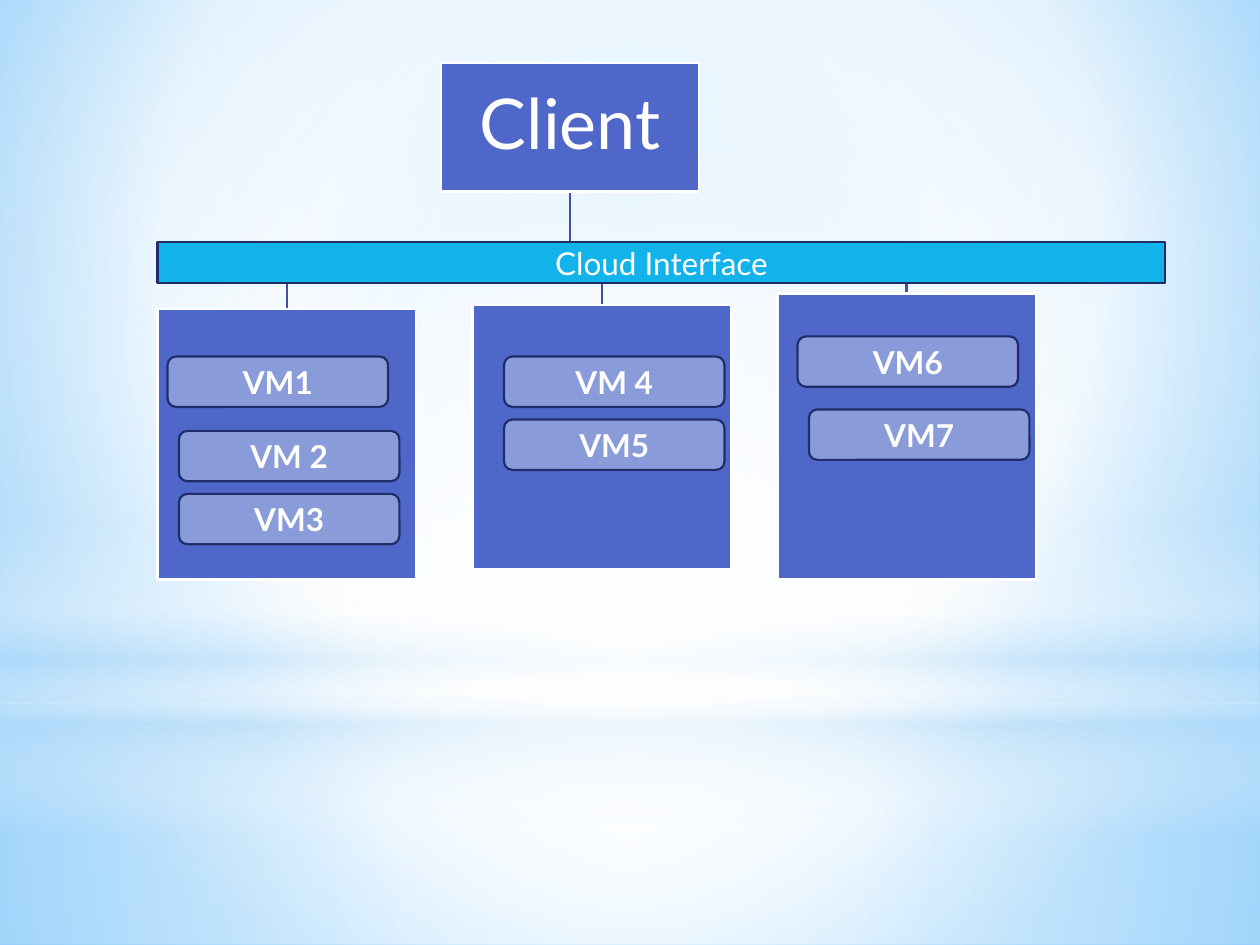
from lxml.etree import SubElement
from pptx import Presentation
from pptx.dml.color import RGBColor
from pptx.enum.shapes import MSO_SHAPE
from pptx.enum.text import MSO_ANCHOR, PP_ALIGN
from pptx.oxml.ns import qn
from pptx.util import Inches, Pt

WHITE = RGBColor(0xFF, 0xFF, 0xFF)
PALE = RGBColor(0xB4, 0xDC, 0xFA)
SKY = RGBColor(0x9E, 0xD5, 0xFF)
AZURE = RGBColor(0x5B, 0xB9, 0xFF)
BLUE = RGBColor(0x4E, 0x67, 0xC8)
LILAC = RGBColor(0x8A, 0x9B, 0xDA)
NAVY = RGBColor(0x1F, 0x2E, 0x69)
WIRE = RGBColor(0x3E, 0x52, 0xA0)
CYAN = RGBColor(0x12, 0xB2, 0xEB)

CLIENT = (3.5, 0.5, 2.05, 1.02)
INTERFACE = (1.25, 1.92, 8, 0.33)
CENTRE = (50, 50, 50, 50)
VM_W, VM_H = 1.75, 0.4
SERVERS = [
    ((1.25, 2.45, 2.05, 2.15),
     [("VM1", 0.08, 0.38), ("VM 2", 0.17, 0.97), ("VM3", 0.17, 1.47)]),
    ((3.75, 2.42, 2.05, 2.1), [("VM 4", 0.25, 0.41), ("VM5", 0.25, 0.91)]),
    ((6.17, 2.33, 2.05, 2.27), [("VM6", 0.16, 0.34), ("VM7", 0.25, 0.92)]),
]
GLOWS = [
    (MSO_SHAPE.RECTANGLE, (0, 5.58, 10, 1.92),
     [(0, WHITE, 91), (37, WHITE, 76), (100, PALE, 79)], CENTRE),
    (MSO_SHAPE.RECTANGLE, (0, 0, 10, 5.58),
     [(0, WHITE, 89), (48, WHITE, 62), (100, PALE, 79)], CENTRE),
    (MSO_SHAPE.RECTANGLE, (0, 4.12, 10, 2.5),
     [(0, WHITE, 0), (29, WHITE, 30), (45, PALE, 40),
      (55, WHITE, 26), (65, PALE, 60), (100, WHITE, 0)], None),
    (MSO_SHAPE.OVAL, (0, 1.75, 10, 5.58),
     [(0, WHITE, 100), (56, WHITE, 0)], CENTRE),
]


def set_gradient(fill, parent, stops, focus):
    """Fill with a circular gradient around focus, or a vertical one without it."""
    fill.gradient()
    grad = parent.find(".//" + qn("a:gradFill"))
    for child in list(grad):
        grad.remove(child)
    stop_list = SubElement(grad, qn("a:gsLst"))
    for pos, color, alpha in stops:
        stop = SubElement(stop_list, qn("a:gs"), pos=str(pos * 1000))
        clr = SubElement(stop, qn("a:srgbClr"), val=str(color))
        SubElement(clr, qn("a:alpha"), val=str(alpha * 1000))
    if focus:
        circle = SubElement(grad, qn("a:path"), {"path": "circle"})
        sides = {k: str(v * 1000) for k, v in zip("ltrb", focus)}
        SubElement(circle, qn("a:fillToRect"), sides)
    else:
        SubElement(grad, qn("a:lin"), ang="5400000", scaled="0")


def add_backdrop(s):
    """Paint the background and its soft glows."""
    set_gradient(s.background.fill, s._element,
                 [(0, SKY, 100), (60, WHITE, 100), (100, AZURE, 100)],
                 (20, 10, 20, 60))
    for kind, box, stops, focus in GLOWS:
        sp = s.shapes.add_shape(kind, *map(Inches, box))
        sp.shadow.inherit = False
        sp.line.fill.background()
        set_gradient(sp.fill, sp._element, stops, focus)


def add_box(s, box, fill, line, text="", size=18, bold=False,
            kind=MSO_SHAPE.RECTANGLE):
    """Draw an outlined box with an optional centred label."""
    sp = s.shapes.add_shape(kind, *map(Inches, box))
    sp.shadow.inherit = False
    sp.fill.solid()
    sp.fill.fore_color.rgb = fill
    sp.line.color.rgb = line
    sp.line.width = Pt(1.25)
    if text:
        tf = sp.text_frame
        tf.vertical_anchor = MSO_ANCHOR.MIDDLE
        p = tf.paragraphs[0]
        p.alignment = PP_ALIGN.CENTER
        r = p.add_run()
        r.text = text
        for name, value in {"name": "Lato", "size": Pt(size), "bold": bold}.items():
            setattr(r.font, name, value)
        r.font.color.rgb = WHITE
    return sp


def add_wire(s, parent, child):
    """Draw an elbow line from the parent's bottom to the child's top."""
    x1, y1 = parent[0] + parent[2] / 2, parent[1] + parent[3]
    x2, y2 = child[0] + child[2] / 2, child[1]
    bend = y2 - 0.21
    points = [(x1, bend), (x2, bend), (x2, y2)]
    builder = s.shapes.build_freeform(Inches(x1), Inches(y1))
    builder.add_line_segments([(Inches(x), Inches(y)) for x, y in points], close=False)
    sp = builder.convert_to_shape()
    sp.shadow.inherit = False
    sp.fill.background()
    sp.line.color.rgb = WIRE
    sp.line.width = Pt(1.25)


def add_client(s, box):
    """Draw the client box."""
    sp = add_box(s, box, BLUE, WHITE, "Client", 40)
    tf = sp.text_frame
    for side in ("left", "top", "right", "bottom"):
        setattr(tf, f"margin_{side}", Inches(0.03))
    tf.paragraphs[0].line_spacing = 0.9


def add_server(s, box, machines):
    """Draw a server and the virtual machines inside it."""
    add_box(s, box, BLUE, WHITE)
    for name, dx, dy in machines:
        add_box(s, (box[0] + dx, box[1] + dy, VM_W, VM_H), LILAC, NAVY, name,
                bold=True, kind=MSO_SHAPE.ROUNDED_RECTANGLE)


def main():
    """Build the slide and save it."""
    prs = Presentation()
    prs.slide_width, prs.slide_height = Inches(10), Inches(7.5)
    s = prs.slides.add_slide(prs.slide_layouts[6])
    add_backdrop(s)
    for box, _ in SERVERS:
        add_wire(s, CLIENT, box)
    add_client(s, CLIENT)
    for box, machines in SERVERS:
        add_server(s, box, machines)
    add_box(s, INTERFACE, CYAN, NAVY, "Cloud Interface")
    prs.save("out.pptx")


if __name__ == "__main__":
    main()
